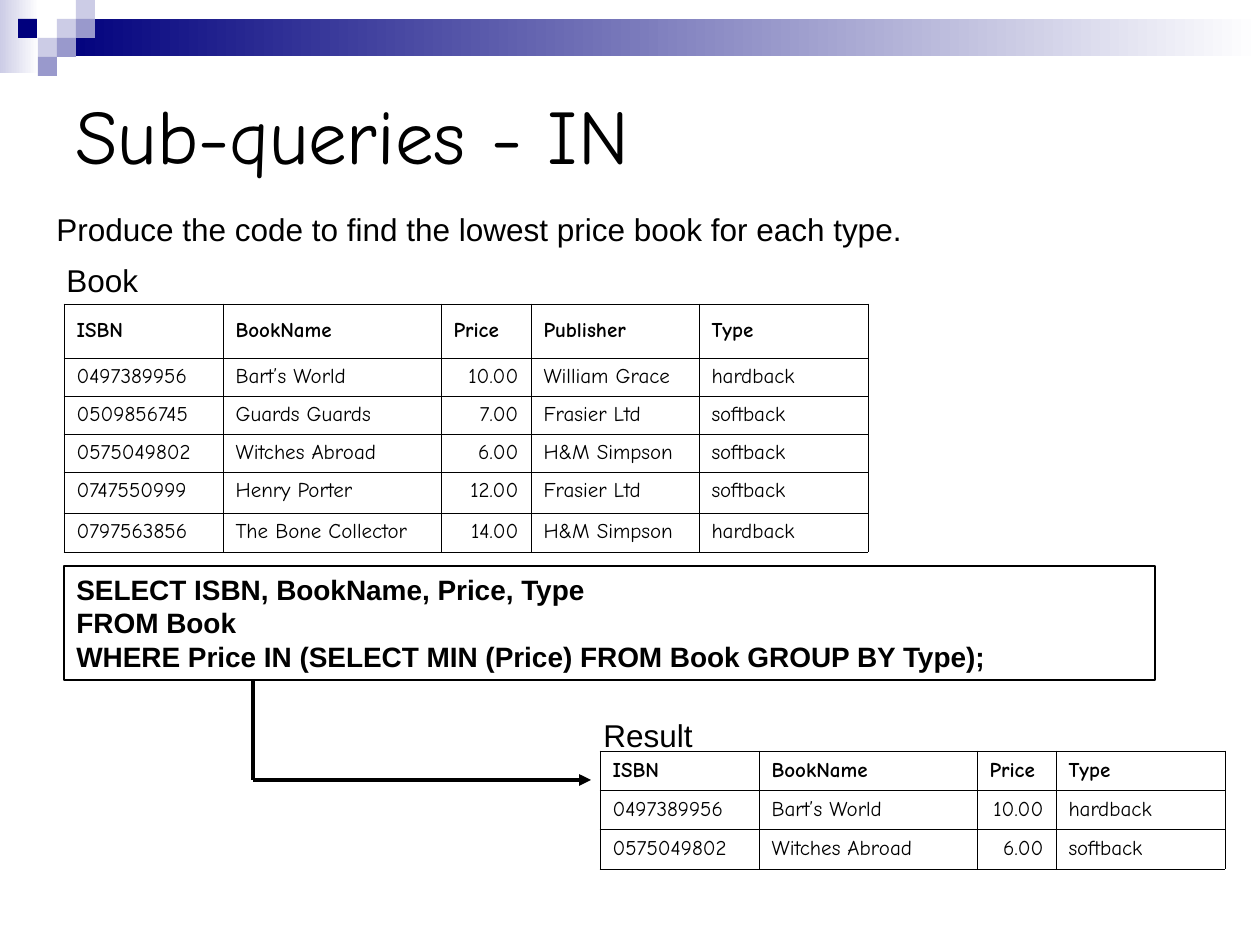
from lxml import etree
from pptx import Presentation
from pptx.dml.color import RGBColor
from pptx.enum.shapes import MSO_CONNECTOR as Conn, MSO_SHAPE as Shape
from pptx.enum.text import MSO_ANCHOR as Anchor, PP_ALIGN as Align
from pptx.oxml.ns import qn
from pptx.util import Emu, Pt

SCALE = 914400 / 126


def px(*sizes):
    return [Emu(round(size * SCALE)) for size in sizes]


def paint(color, code):
    color.rgb = RGBColor.from_string(code)


deck = Presentation()
deck.slide_width, deck.slide_height = px(1260, 945)
slide = deck.slides.add_slide(deck.slide_layouts[6])
shapes = slide.shapes

bands = [
    (0, 0, 39, 73, "CCCCE6"),
    (57, 19, 1203, 37, "00007D"),
]
tiles = [
    (57, 19, "CCCCE6"),
    (76, 0, "CCCCE6"),
    (76, 19, "9999CC"),
    (38, 38, "CCCCE6"),
    (18, 19, "00007D"),
    (57, 38, "9999CC"),
    (38, 57, "9999CC"),
]
for left, top, wide, high, code in bands:
    band = shapes.add_shape(Shape.RECTANGLE, *px(left, top, wide, high))
    band.shadow.inherit = False
    band.line.fill.background()
    band.fill.gradient()
    band.fill.gradient_angle = 0
    for stop, place, tint in zip(band.fill.gradient_stops, (0, 1), (code, "FFFFFF")):
        stop.position = place
        paint(stop.color, tint)
for left, top, code in tiles:
    tile = shapes.add_shape(Shape.RECTANGLE, *px(left, top, 19, 19))
    tile.shadow.inherit = False
    tile.line.fill.background()
    tile.fill.solid()
    paint(tile.fill.fore_color, code)

query = """SELECT ISBN, BookName, Price, Type
FROM Book
WHERE Price IN (SELECT MIN (Price) FROM Book GROUP BY Type);"""
task = "Produce the code to find the lowest price book for each type."
texts = [
    ("Sub-queries - IN", (63, 63, 1134, 141), "Comic Neue", 44, False),
    (task, (44, 204, 982, 51), "Arial", 18, False),
    (query, (64, 566, 1091, 114), "Arial", 16, True),
    ("Book", (54, 255, 367, 51), "Arial", 18, False),
    ("Result", (591, 710, 149, 51), "Arial", 18, False),
]
for words, place, face, size, bold in texts:
    box = shapes.add_textbox(*px(*place))
    frame = box.text_frame
    frame.word_wrap = True
    frame.vertical_anchor = Anchor.MIDDLE if size == 44 else Anchor.TOP
    frame.text = words
    for para in frame.paragraphs:
        para.font.name = face
        para.font.size = Pt(size)
        para.font.bold = bold
        paint(para.font.color, "000000")
    if words == query:
        box.line.width = Pt(0.75)
        paint(box.line.color, "000000")

books = [
    ("ISBN", "BookName", "Price", "Publisher", "Type"),
    ("0497389956", "Bart’s World", "10.00", "William Grace", "hardback"),
    ("0509856745", "Guards Guards", "7.00", "Frasier Ltd", "softback"),
    ("0575049802", "Witches Abroad", "6.00", "H&M Simpson", "softback"),
    ("0747550999", "Henry Porter", "12.00", "Frasier Ltd", "softback"),
    ("0797563856", "The Bone Collector", "14.00", "H&M Simpson", "hardback"),
]
found = [
    ("ISBN", "BookName", "Price", "Type"),
    ("0497389956", "Bart’s World", "10.00", "hardback"),
    ("0575049802", "Witches Abroad", "6.00", "softback"),
]
tables = [
    (books, 64, 304, (159, 218, 90, 168, 169), (54, 38, 38, 38, 41, 39), Anchor.TOP),
    (found, 600, 751, (159, 218, 79, 169), (39, 39, 40), Anchor.MIDDLE),
]
for data, left, top, cols, rows, anchor in tables:
    place = px(left, top, sum(cols), sum(rows))
    grid = shapes.add_table(len(rows), len(cols), *place).table
    grid.first_row = grid.horz_banding = False
    for col, wide in zip(grid.columns, px(*cols)):
        col.width = wide
    for row, high in zip(grid.rows, px(*rows)):
        row.height = high
    for r, record in enumerate(data):
        for c, words in enumerate(record):
            cell = grid.cell(r, c)
            cell.text = words
            cell.vertical_anchor = anchor if r else Anchor.MIDDLE
            para = cell.text_frame.paragraphs[0]
            if r and c == 2:
                para.alignment = Align.RIGHT
            para.font.name = "Comic Neue"
            para.font.size = Pt(12)
            para.font.bold = r == 0
            paint(para.font.color, "000000")
            props = cell._tc.get_or_add_tcPr()
            for side in ("lnL", "lnR", "lnT", "lnB"):
                edge = etree.SubElement(props, qn("a:" + side), w=str(Pt(0.34)))
                fill = etree.SubElement(edge, qn("a:solidFill"))
                etree.SubElement(fill, qn("a:srgbClr"), val="000000")
            if r:
                cell.fill.solid()
                paint(cell.fill.fore_color, "FFFFFF")
            else:
                cell.fill.background()

lines = [
    (253, 780, 591, 780, True),
    (253, 780, 253, 680, False),
]
for *ends, arrow in lines:
    line = shapes.add_connector(Conn.STRAIGHT, *px(*ends))
    line.line.width = Pt(2.25)
    paint(line.line.color, "000000")
    if arrow:
        etree.SubElement(line.line._get_or_add_ln(), qn("a:tailEnd"), type="triangle")
    etree.SubElement(line._element.spPr, qn("a:effectLst"))

deck.save("out.pptx")
